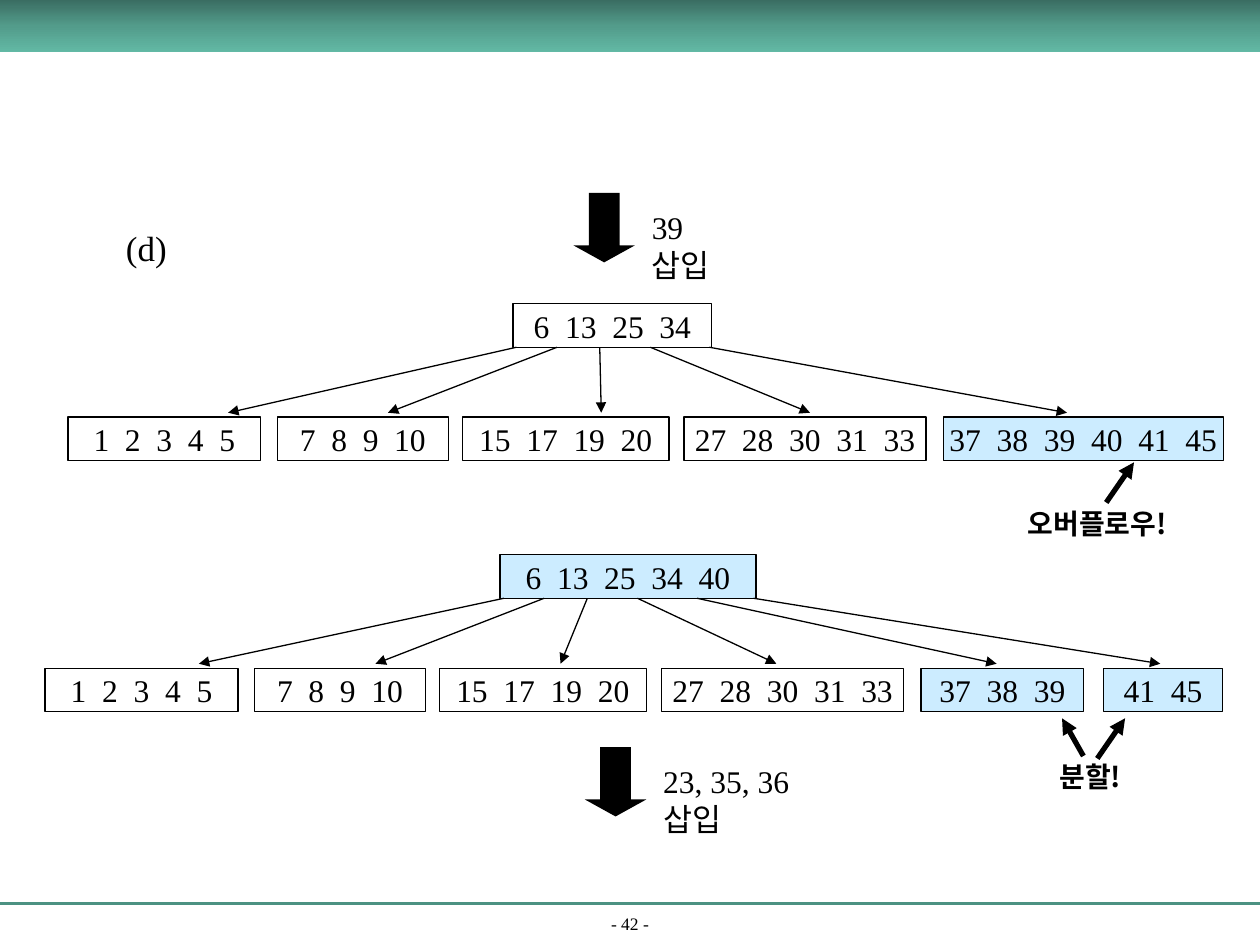
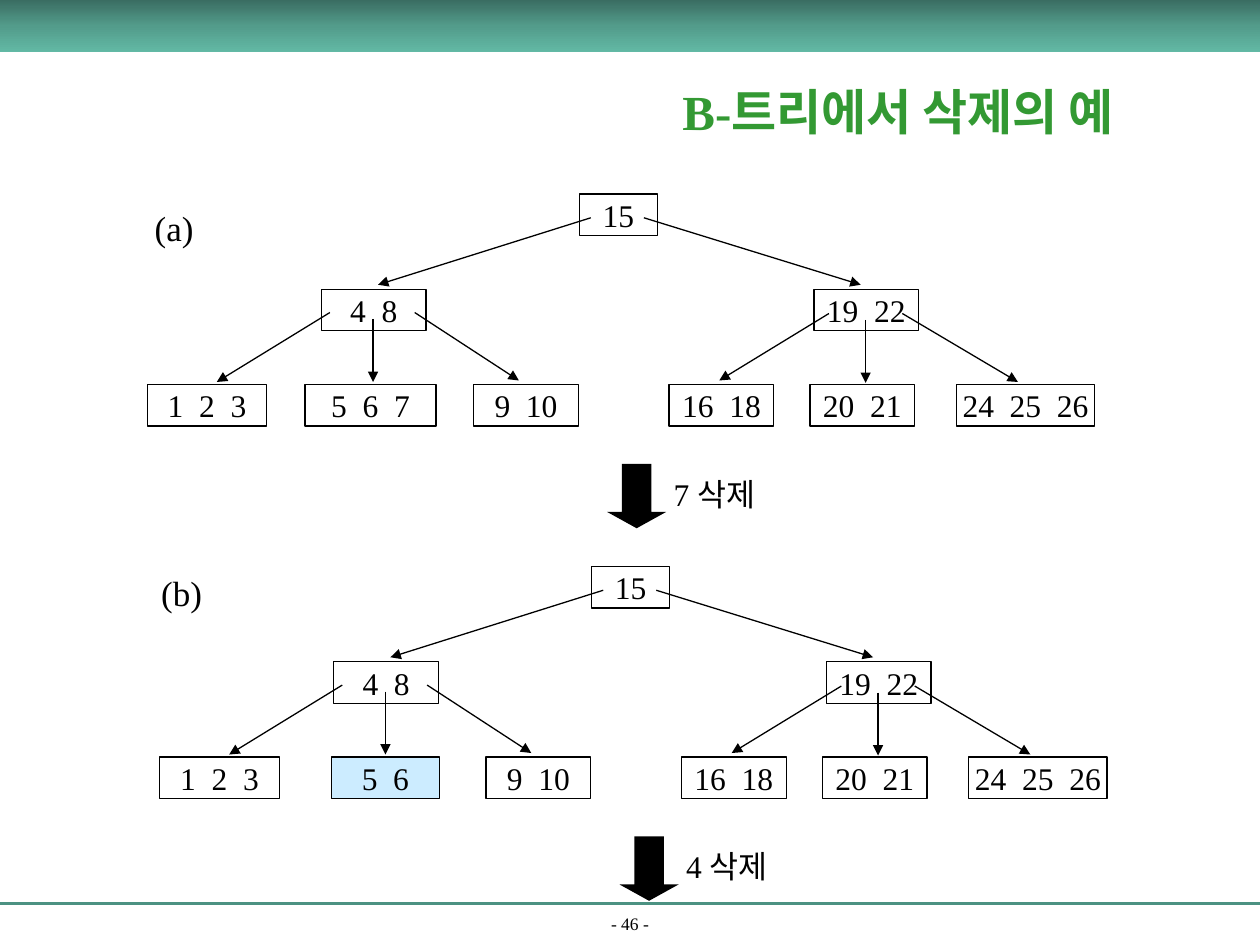
"""Build two slides that show insertion into and deletion from a B-tree."""
from copy import deepcopy

from lxml.etree import SubElement
from pptx import Presentation
from pptx.dml.color import RGBColor
from pptx.enum.shapes import MSO_CONNECTOR, MSO_SHAPE
from pptx.enum.text import MSO_ANCHOR, PP_ALIGN
from pptx.oxml.ns import qn
from pptx.util import Cm, Pt

BLACK = RGBColor(0x00, 0x00, 0x00)
GREEN = RGBColor(0x33, 0x99, 0x33)
RULE = RGBColor(0x4C, 0x92, 0x82)
CHANGED = RGBColor(0xCC, 0xEC, 0xFF)
BAND = [(0, RGBColor(0x3A, 0x6D, 0x62)), (0.5, RGBColor(0x53, 0x9C, 0x8B)),
        (1, RGBColor(0x62, 0xB9, 0xA5))]
LATIN, KOREAN = "Times New Roman", "Noto Sans CJK KR"
WIDTH, HEIGHT = 25.4, 19.05
LEVEL_GAP = 2.29

# Node: keys, left, width, changed
INSERT_TREES = [
    {"top": 6.12,
     "root": ("6  13  25  34", 10.34, 4.01, False),
     "leaves": [("1  2  3  4  5", 1.37, 3.89, False),
                ("7  8  9  10", 5.59, 3.45, False),
                ("15  17  19  20", 9.32, 4.17, False),
                ("27  28  30  31  33", 13.79, 4.88, False),
                ("37  38  39  40  41  45", 19.02, 5.64, True)],
     "links": [(10.41, 4.6), (11.23, 7.82), (12.09, 12.12), (13.11, 16.33),
               (14.3, 21.51)]},
    {"top": 11.18,
     "root": ("6  13  25  34  40", 10.08, 5.16, True),
     "leaves": [("1  2  3  4  5", 0.91, 3.89, False),
                ("7  8  9  10", 5.13, 3.45, False),
                ("15  17  19  20", 8.86, 4.17, False),
                ("27  28  30  31  33", 13.34, 4.88, False),
                ("37  38  39", 18.57, 3.28, True),
                ("41  45", 22.25, 2.39, True)],
     "links": [(10.16, 4.01), (10.97, 7.57), (11.84, 11.3), (12.85, 15.65),
               (14.05, 20.09), (15.19, 23.39)]},
]
INSERT_STEPS = [("39 삽입", 11.56, 3.89, 2.4), ("23, 35, 36 삽입", 11.79, 15.06, 4.06)]
REMARKS = [("오버플로우!", 20.47, 10.08), ("분할!", 21.11, 15.19)]
POINTERS = [(22.3, 10.13, 22.86, 9.32), (22.12, 15.29, 22.68, 14.48),
            (21.84, 15.24, 21.41, 14.48)]

DELETE_TOP = 3.91
DELETE_LEVELS = [
    [("15", 11.68, 1.57, False)],
    [("4  8", 6.48, 2.11, False), ("19  22", 16.41, 2.11, False)],
    [("1  2  3", 2.97, 2.41, False), ("9  10", 9.55, 2.11, False),
     ("16  18", 13.49, 2.11, False), ("20  21", 16.33, 2.11, False),
     ("24  25  26", 19.28, 2.79, False)],
]
DELETE_LINKS = [(11.91, 4.39, 7.62, 5.74), (12.98, 4.39, 17.35, 5.74),
                (6.65, 6.3, 4.37, 7.7), (7.52, 6.43, 7.52, 7.7),
                (8.36, 6.3, 10.46, 7.67), (16.71, 6.32, 14.5, 7.67),
                (17.45, 6.45, 17.45, 7.72), (18.19, 6.32, 20.52, 7.7)]
# Stage: label, label position, shift right, shift down, the leaf that differs, step
DELETE_STAGES = [
    ("(a)", 2.87, 4.04, 0, 0, ("5  6  7", 6.15, 2.64, False), "7 삭제"),
    ("(b)", 3, 11.4, 0.25, 7.51, ("5  6", 6.43, 2.18, True), "4 삭제"),
]


def write(shape, text, size, align=PP_ALIGN.LEFT, anchor=MSO_ANCHOR.TOP,
          wrap=True, bold=False, color=BLACK, font=LATIN):
    tf = shape.text_frame
    tf.word_wrap = wrap
    tf.vertical_anchor = anchor
    p = tf.paragraphs[0]
    p.text = text
    p.alignment = align
    p.font.size = Pt(size)
    p.font.bold = bold
    p.font.color.rgb = color
    p.font.name = font
    SubElement(p.font._element, qn("a:ea")).set("typeface", KOREAN)


def add_label(s, text, x, y, w, size, **style):
    write(s.shapes.add_textbox(Cm(x), Cm(y), Cm(w), Cm(1)), text, size, **style)


def add_box(s, kind, x, y, w, h):
    sp = s.shapes.add_shape(kind, Cm(x), Cm(y), Cm(w), Cm(h))
    sp.shadow.inherit = False
    return sp


def add_line(s, x1, y1, x2, y2, weight=0.75, color=BLACK, arrow=True):
    cx = s.shapes.add_connector(MSO_CONNECTOR.STRAIGHT, Cm(x1), Cm(y1), Cm(x2), Cm(y2))
    cx.line.color.rgb = color
    cx.line.width = Pt(weight)
    if arrow:
        SubElement(cx.line._get_or_add_ln(), qn("a:tailEnd")).set("type", "triangle")
    SubElement(cx._element.spPr, qn("a:effectLst"))


def add_node(s, node, y, h, dx=0):
    keys, x, w, changed = node
    sp = add_box(s, MSO_SHAPE.RECTANGLE, x + dx, y, w, h)
    if changed:
        sp.fill.solid()
        sp.fill.fore_color.rgb = CHANGED
    else:
        sp.fill.background()
    sp.line.color.rgb = BLACK
    sp.line.width = Pt(0.75)
    write(sp, keys, 18, PP_ALIGN.CENTER, MSO_ANCHOR.MIDDLE, wrap=False)


def add_down_arrow(s, x, y, w, h):
    sp = add_box(s, MSO_SHAPE.DOWN_ARROW, x, y, w, h)
    sp.adjustments[1] = 0.276
    sp.fill.solid()
    sp.fill.fore_color.rgb = BLACK
    sp.line.fill.background()


def add_slide(prs, layout, number):
    s = prs.slides.add_slide(prs.slide_layouts[layout])
    add_line(s, 0, 18.21, WIDTH, 18.21, 1.5, RULE, arrow=False)
    footer = s.shapes.add_textbox(0, Cm(18.39), Cm(WIDTH), Cm(0.56))
    write(footer, f"- {number} -", 10, PP_ALIGN.CENTER, MSO_ANCHOR.BOTTOM)
    band = add_box(s, MSO_SHAPE.RECTANGLE, 0, 0, WIDTH, 1.06)
    band.line.fill.background()
    band.fill.gradient()
    band.fill.gradient_angle = 270
    stops = band._element.spPr.find(qn("a:gradFill")).find(qn("a:gsLst"))
    stops.insert(1, deepcopy(stops[0]))
    for stop, (position, color) in zip(band.fill.gradient_stops, BAND):
        stop.position = position
        stop.color.rgb = color
    return s


def build_insertion(prs):
    s = add_slide(prs, 6, 42)
    for tree in INSERT_TREES:
        top = tree["top"]
        add_node(s, tree["root"], top, 0.89)
        for leaf in tree["leaves"]:
            add_node(s, leaf, top + LEVEL_GAP, 0.87)
        for start, end in tree["links"]:
            add_line(s, start, top + 0.88, end, top + 2.2)
    for text, x, y, w in INSERT_STEPS:
        add_down_arrow(s, x, y, 1.24, 1.4)
        add_label(s, text, x + 1.33, y + 0.18, w, 18)
    for text, x, y in REMARKS:
        add_label(s, text, x, y, 3.9, 16, bold=True, font=KOREAN)
    for pointer in POINTERS:
        add_line(s, *pointer, weight=3)
    add_label(s, "(d)", 2.29, 4.45, 2, 20)


def build_deletion(prs):
    s = add_slide(prs, 5, 46)
    title = s.shapes.title
    title.left, title.top, title.width, title.height = Cm(12.9), Cm(1.14), Cm(10.41), Cm(2.18)
    write(title, "B-트리에서 삭제의 예", 28, PP_ALIGN.CENTER, MSO_ANCHOR.MIDDLE,
          bold=True, color=GREEN)
    for label, x, y, dx, dy, leaf, step in DELETE_STAGES:
        add_label(s, label, x, y, 2, 20)
        *upper, leaves = DELETE_LEVELS
        for depth, level in enumerate([*upper, [*leaves, leaf]]):
            for node in level:
                add_node(s, node, DELETE_TOP + dy + depth * 1.92, 0.84, dx)
        for x1, y1, x2, y2 in DELETE_LINKS:
            add_line(s, x1 + dx, y1 + dy, x2 + dx, y2 + dy)
        add_down_arrow(s, 12.24 + dx, 9.35 + dy, 1.19, 1.3)
        add_label(s, step, 13.33 + dx, 9.45 + dy, 3.5, 18)


def main():
    prs = Presentation()
    prs.slide_width, prs.slide_height = Cm(WIDTH), Cm(HEIGHT)
    build_insertion(prs)
    build_deletion(prs)
    prs.save("out.pptx")


if __name__ == "__main__":
    main()
